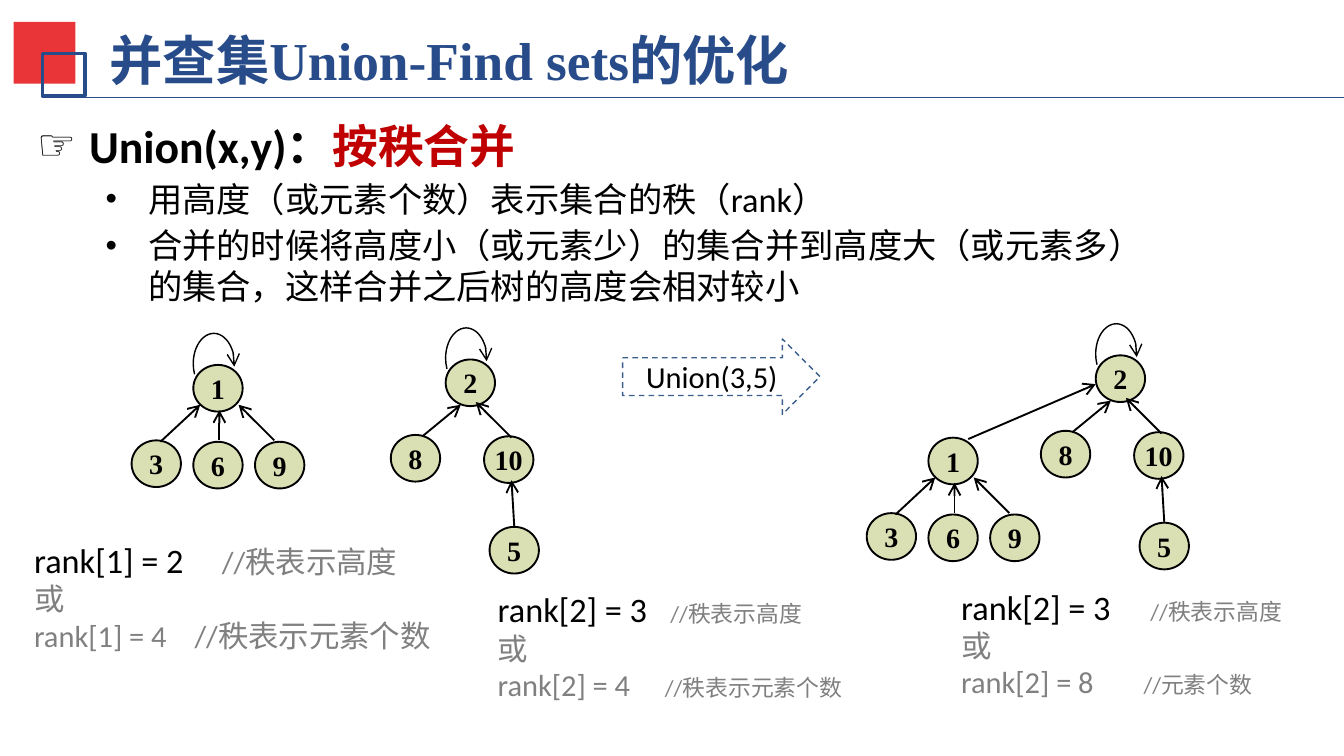
import dataclasses

import pptx
import pptx.dml.color
import pptx.enum.dml
import pptx.enum.shapes
import pptx.enum.text
import pptx.oxml
import pptx.oxml.ns
import pptx.util

Inches = pptx.util.Inches
Points = pptx.util.Pt
Shape = pptx.enum.shapes.MSO_SHAPE
Align = pptx.enum.text.PP_ALIGN
Anchor = pptx.enum.text.MSO_ANCHOR


@dataclasses.dataclass(frozen=True)
class Theme:
    """Colours, fonts and type sizes of the slide."""
    navy: str = "284C8A"
    red: str = "E93538"
    accent: str = "C00000"
    black: str = "000000"
    grey: str = "808080"
    node: str = "DBE0B4"
    arrow: str = "3A5F8C"
    serif: str = "Times New Roman"
    sans: str = "Calibri"
    title: float = 28
    heading: float = 24
    body: float = 18
    label: float = 16
    digit: float = 14.7
    note: float = 12


THEME = Theme()
NODE_WIDTH, NODE_HEIGHT = 0.36, 0.34

STAR_NODES = [("9", 0.45, 0.56), ("6", 0, 0.56), ("1", 0, 0), ("3", -0.45, 0.55)]
STAR_EDGES = [(0.05, 0.29, -0.24, 0.56), (0.19, 0.33, 0.19, 0.55), (0.33, 0.29, 0.59, 0.55)]
CHAIN_NODES = [("10", 0.28, 0.56), ("2", 0, 0), ("8", -0.4, 0.55), ("5", 0.32, 1.22)]
CHAIN_EDGES = [(0.11, 0.33, -0.17, 0.56), (0.22, 0.31, 0.48, 0.57), (0.48, 0.88, 0.5, 1.22)]


def color(value):
    """Turn a hex string into a colour."""
    return pptx.dml.color.RGBColor.from_string(value)


def add_xml(parent, tag, **attributes):
    """Append a DrawingML child element and return it."""
    child = pptx.oxml.parse_xml(f"<a:{tag} {pptx.oxml.ns.nsdecls('a')}/>")
    for name, value in attributes.items():
        child.set(name, str(value))
    parent.append(child)
    return child


def add_span(para, text, size, shade, font=THEME.sans, bold=False):
    """Add one formatted run to a paragraph."""
    span = para.add_run()
    span.text = text
    span.font.size = Points(size)
    span.font.name = font
    span.font.bold = bold
    span.font.color.rgb = color(shade)


def set_margins(frame, horizontal, vertical):
    """Set equal side margins and equal top and bottom margins."""
    frame.margin_left = frame.margin_right = Inches(horizontal)
    frame.margin_top = frame.margin_bottom = Inches(vertical)


def place(shape, left, top, width, height):
    """Move and size a placeholder."""
    shape.left, shape.top = Inches(left), Inches(top)
    shape.width, shape.height = Inches(width), Inches(height)


def add_figure(shapes, kind, box, fill=None, line=None, weight=1):
    """Add a preset shape with a plain fill and outline."""
    figure = shapes.add_shape(kind, *map(Inches, box))
    figure.shadow.inherit = False
    if fill:
        figure.fill.solid()
        figure.fill.fore_color.rgb = color(fill)
    else:
        figure.fill.background()
    if line:
        figure.line.color.rgb = color(line)
        figure.line.width = Points(weight)
    else:
        figure.line.fill.background()
    return figure


def add_arrowhead(shape, end):
    """Put an open arrowhead on one end of a line."""
    outline = shape._element.spPr.find(pptx.oxml.ns.qn("a:ln"))
    add_xml(outline, end, type="arrow")


def add_line(shapes, start, finish, shade, weight, arrow=False):
    """Add a straight line, with an arrowhead at its start if asked."""
    straight = pptx.enum.shapes.MSO_CONNECTOR.STRAIGHT
    line = shapes.add_connector(straight, *map(Inches, start + finish))
    line.line.color.rgb = color(shade)
    line.line.width = Points(weight)
    if arrow:
        add_arrowhead(line, "headEnd")
    add_xml(line._element.spPr, "effectLst")


def add_header(page, left, top):
    """Place the title, the two squares and the rule."""
    title = page.shapes.title
    place(title, left + 0.63, top, 6.91, 0.55)
    frame = title.text_frame
    frame.auto_size = pptx.enum.text.MSO_AUTO_SIZE.NONE
    frame.vertical_anchor = Anchor.TOP
    set_margins(frame, 0.07, 0.04)
    para = frame.paragraphs[0]
    para.alignment = Align.LEFT
    add_span(para, "并查集Union-Find sets的优化", THEME.title, THEME.navy, THEME.serif, True)
    add_figure(page.shapes, Shape.RECTANGLE, (left, top, 0.45, 0.45), THEME.red)
    add_figure(page.shapes, Shape.RECTANGLE, (left + 0.21, top + 0.23, 0.31, 0.31),
               line=THEME.navy, weight=2)
    add_line(page.shapes, (left + 0.28, top + 0.55), (9.8, top + 0.55), THEME.navy, 0.75)


def add_rules(page, box):
    """Fill the body placeholder with the heading and its two points."""
    body = page.placeholders[1]
    place(body, *box)
    frame = body.text_frame
    frame.auto_size = pptx.enum.text.MSO_AUTO_SIZE.NONE
    points = [
        (0, "☞", 0.38, 0.38, THEME.heading,
         [("Union(x,y)：", THEME.black), ("按秩合并", THEME.accent)]),
        (1, "•", 0.81, 0.31, THEME.body,
         [("用高度（或元素个数）表示集合的秩（rank）", THEME.black)]),
        (1, "•", 0.81, 0.31, THEME.body,
         [("合并的时候将高度小（或元素少）的集合并到高度大（或元素多）的集合，"
           "这样合并之后树的高度会相对较小", THEME.black)]),
    ]
    for index, (level, bullet, margin, hang, size, spans) in enumerate(points):
        para = frame.add_paragraph() if index else frame.paragraphs[0]
        para.level = level
        para.space_before = Points(size * 0.15)
        settings = para._p.get_or_add_pPr()
        settings.set("marL", str(Inches(margin)))
        settings.set("indent", str(-Inches(hang)))
        add_xml(settings, "buSzPct", val=95000)
        add_xml(settings, "buChar", char=bullet)
        for text, shade in spans:
            add_span(para, text, size, shade, bold=level == 0)


def add_tree(shapes, left, top, nodes, edges, loop=True):
    """Draw a tree relative to the corner of its root node."""
    for label, across, down in nodes:
        box = (left + across, top + down, NODE_WIDTH, NODE_HEIGHT)
        node = add_figure(shapes, Shape.OVAL, box, THEME.node, THEME.black)
        frame = node.text_frame
        frame.word_wrap = False
        frame.vertical_anchor = Anchor.MIDDLE
        set_margins(frame, 0, 0.05)
        para = frame.paragraphs[0]
        para.alignment = Align.CENTER
        add_span(para, label, THEME.digit, THEME.black, THEME.serif, True)
    for x1, y1, x2, y2 in edges:
        add_line(shapes, (left + x1, top + y1), (left + x2, top + y2), THEME.black, 1, True)
    if loop:
        arc = add_figure(shapes, Shape.ARC, (left, top - 0.23, 0.3, 0.44),
                         line=THEME.black, weight=0.75)
        arc.adjustments[0], arc.adjustments[1] = 90.47, 5.19
        add_arrowhead(arc, "tailEnd")


def add_step(page, box):
    """Draw the dashed block arrow that names the operation."""
    step = add_figure(page.shapes, Shape.RIGHT_ARROW, box, line=THEME.arrow, weight=0.75)
    step.line.dash_style = pptx.enum.dml.MSO_LINE.DASH
    step.text_frame.vertical_anchor = Anchor.MIDDLE
    para = step.text_frame.paragraphs[0]
    para.alignment = Align.CENTER
    add_span(para, "Union(3,5)", THEME.label, THEME.black)


def add_ranks(page, box, by_height, by_count, note_size):
    """Write the two possible ranks of a tree, each with a tabbed comment."""
    frame = page.shapes.add_textbox(*map(Inches, box)).text_frame
    frame.word_wrap = True
    height_para = frame.paragraphs[0]
    add_span(frame.add_paragraph(), "或", THEME.label, THEME.grey)
    rows = [(height_para, by_height, THEME.body, THEME.black),
            (frame.add_paragraph(), by_count, THEME.label, THEME.grey)]
    for para, (rank, note, stop), size, shade in rows:
        tabs = add_xml(para._p.get_or_add_pPr(), "tabLst")
        add_xml(tabs, "tab", pos=Inches(stop), algn="l")
        add_span(para, rank + "\t", size, shade)
        add_span(para, note, note_size, THEME.grey)


def main():
    """Build the slide and save it."""
    deck = pptx.Presentation()
    deck.slide_width, deck.slide_height = Inches(9.8), Inches(5.51)
    page = deck.slides.add_slide(deck.slide_layouts[1])
    add_header(page, 0.1, 0.16)
    add_rules(page, (0.17, 0.81, 8.35, 1.87))
    add_tree(page.shapes, 1.41, 2.66, STAR_NODES, STAR_EDGES)
    add_tree(page.shapes, 3.25, 2.62, CHAIN_NODES, CHAIN_EDGES)
    add_step(page, (4.54, 2.47, 1.44, 0.55))
    merged = page.shapes.add_group_shape().shapes
    add_tree(merged, 6.77, 3.19, STAR_NODES, STAR_EDGES, loop=False)
    add_tree(merged, 7.99, 2.59, CHAIN_NODES, CHAIN_EDGES)
    add_line(merged, (7.99, 2.8), (7.06, 3.2), THEME.black, 1, True)
    add_ranks(page, (0.15, 3.88, 3.65, 0.94), ("rank[1] = 2", "//秩表示高度", 1.37),
              ("rank[1] = 4", "//秩表示元素个数", 1.17), THEME.label)
    add_ranks(page, (3.53, 4.24, 2.79, 0.94), ("rank[2] = 3", "//秩表示高度", 1.26),
              ("rank[2] = 4", "//秩表示元素个数", 1.22), THEME.note)
    add_ranks(page, (6.91, 4.22, 2.71, 0.94), ("rank[2] = 3", "//秩表示高度", 1.38),
              ("rank[2] = 8", "//元素个数", 1.33), THEME.note)
    deck.save("out.pptx")


if __name__ == "__main__":
    main()
